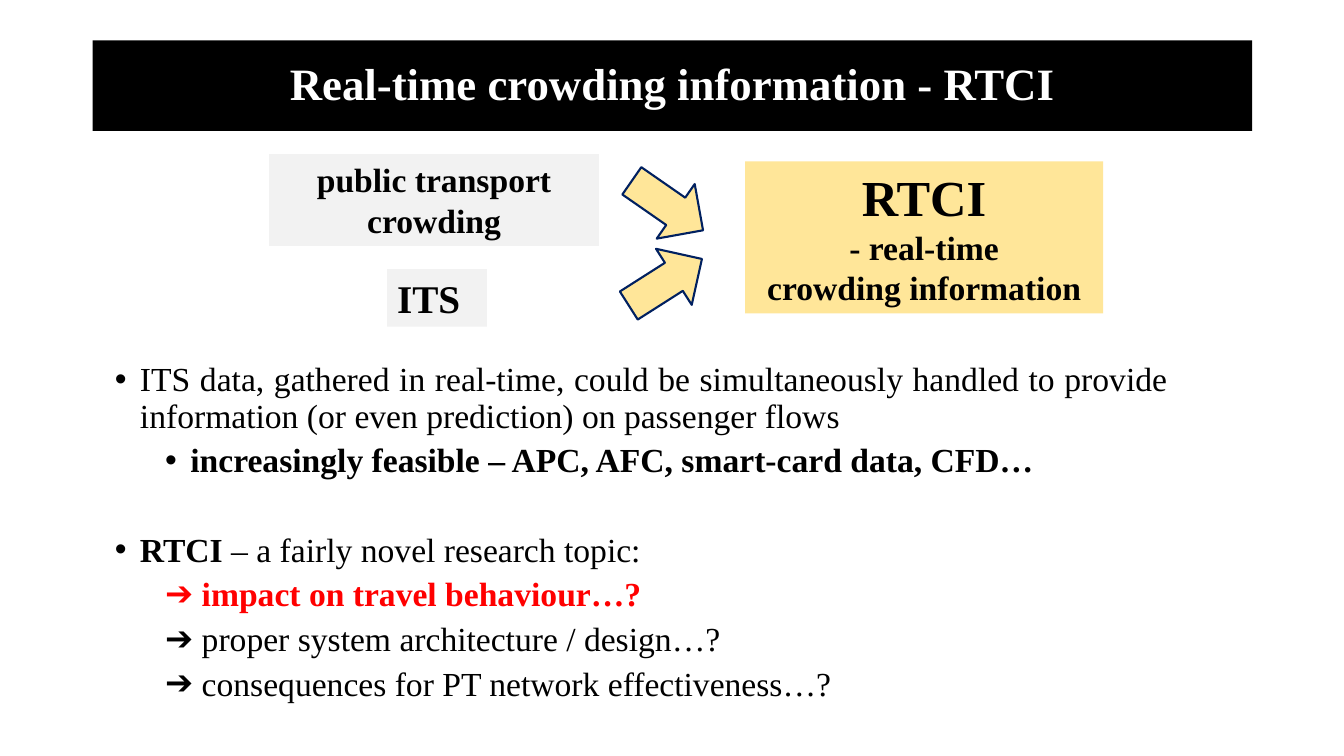
from lxml import etree
from pptx import Presentation
from pptx.dml.color import RGBColor
from pptx.enum.shapes import MSO_SHAPE
from pptx.enum.text import MSO_ANCHOR, PP_ALIGN
from pptx.oxml.ns import qn
from pptx.util import Pt

PX = 9144
FONT = "Times New Roman"
LEFT, CENTER, JUSTIFY = PP_ALIGN.LEFT, PP_ALIGN.CENTER, PP_ALIGN.JUSTIFY
TOP, MIDDLE = MSO_ANCHOR.TOP, MSO_ANCHOR.MIDDLE
ARROW = MSO_SHAPE.RIGHT_ARROW
COLORS = {
    "black": "000000",
    "white": "FFFFFF",
    "red": "FF0000",
    "grey": "F2F2F2",
    "yellow": "FFE699",
    "navy": "002060",
}


def color(name):
    return RGBColor.from_string(COLORS[name])


def style(paragraph, size, ink, bold, align):
    paragraph.alignment = align
    paragraph.font.name = FONT
    paragraph.font.size = Pt(size)
    paragraph.font.bold = bold
    paragraph.font.color.rgb = color(ink)


prs = Presentation()
prs.slide_width, prs.slide_height = 1333 * PX, 750 * PX
slide = prs.slides.add_slide(prs.slide_layouts[6])

panels = [
    ((92, 40, 1150, 90), "black", "white", CENTER, MIDDLE, 0.9,
     [("Real-time crowding information - RTCI", 32)]),
    ((384, 267, 99, 57), "grey", "black", LEFT, TOP, 1.0, [("ITS", 28)]),
    ((739, 160, 355, 151), "yellow", "black", CENTER, TOP, 1.0,
     [("RTCI", 36), ("- real-time", 24), ("crowding information", 24)]),
    ((267, 153, 327, 91), "grey", "black", CENTER, TOP, 1.0,
     [("public transport crowding", 24)]),
]
for box, fill, ink, align, anchor, spacing, lines in panels:
    panel = slide.shapes.add_textbox(*(n * PX for n in box))
    panel.fill.solid()
    panel.fill.fore_color.rgb = color(fill)
    frame = panel.text_frame
    frame.word_wrap = True
    frame.vertical_anchor = anchor
    for i, (text, size) in enumerate(lines):
        paragraph = frame.add_paragraph() if i else frame.paragraphs[0]
        paragraph.text = text
        paragraph.line_spacing = spacing
        style(paragraph, size, ink, True, align)

for left, top, angle in [(619, 171, 34.8), (617, 247, 327.5)]:
    arrow = slide.shapes.add_shape(ARROW, left * PX, top * PX, 86 * PX, 66 * PX)
    arrow.rotation = angle
    arrow.shadow.inherit = False
    arrow.fill.solid()
    arrow.fill.fore_color.rgb = color("yellow")
    arrow.line.color.rgb = color("navy")
    arrow.line.width = Pt(1.5)

points = [
    (0, "•", 6, "black", False,
     ["ITS data, gathered in real-time, could be simultaneously handled to provide "
      "information (or even prediction) on passenger flows"]),
    (1, "•", 6, "black", True,
     ["increasingly feasible – APC, AFC, smart-card data, CFD…"]),
    (0, "•", 38, "black", None, ["RTCI", " – a fairly novel research topic:"]),
    (1, "➔", 6, "red", True, [" impact on travel behaviour…?"]),
    (1, "➔", 6, "black", False, [" proper system architecture / design…?"]),
    (1, "➔", 6, "black", False, [" consequences for PT network effectiveness…?"]),
]
body = slide.shapes.add_textbox(104 * PX, 355 * PX, 1064 * PX, 364 * PX).text_frame
body.word_wrap = True
for i, (level, bullet, before, ink, bold, texts) in enumerate(points):
    paragraph = body.add_paragraph() if i else body.paragraphs[0]
    paragraph.level = level
    paragraph.line_spacing = 0.9
    paragraph.space_before = Pt(before)
    for text in texts:
        paragraph.add_run().text = text
    style(paragraph, 24, ink, bold, JUSTIFY)
    if bold is None:
        for run, heavy in zip(paragraph.runs, (True, False)):
            run.font.bold = heavy
    props = paragraph._p.get_or_add_pPr()
    props.set("marL", str((25 + 50 * level) * PX))
    props.set("indent", str(-25 * PX))
    mark = etree.Element(qn("a:buChar"), char=bullet)
    face = etree.Element(qn("a:buFont"), typeface="Arial")
    props.find(qn("a:defRPr")).addprevious(face)
    face.addnext(mark)

prs.save("out.pptx")
